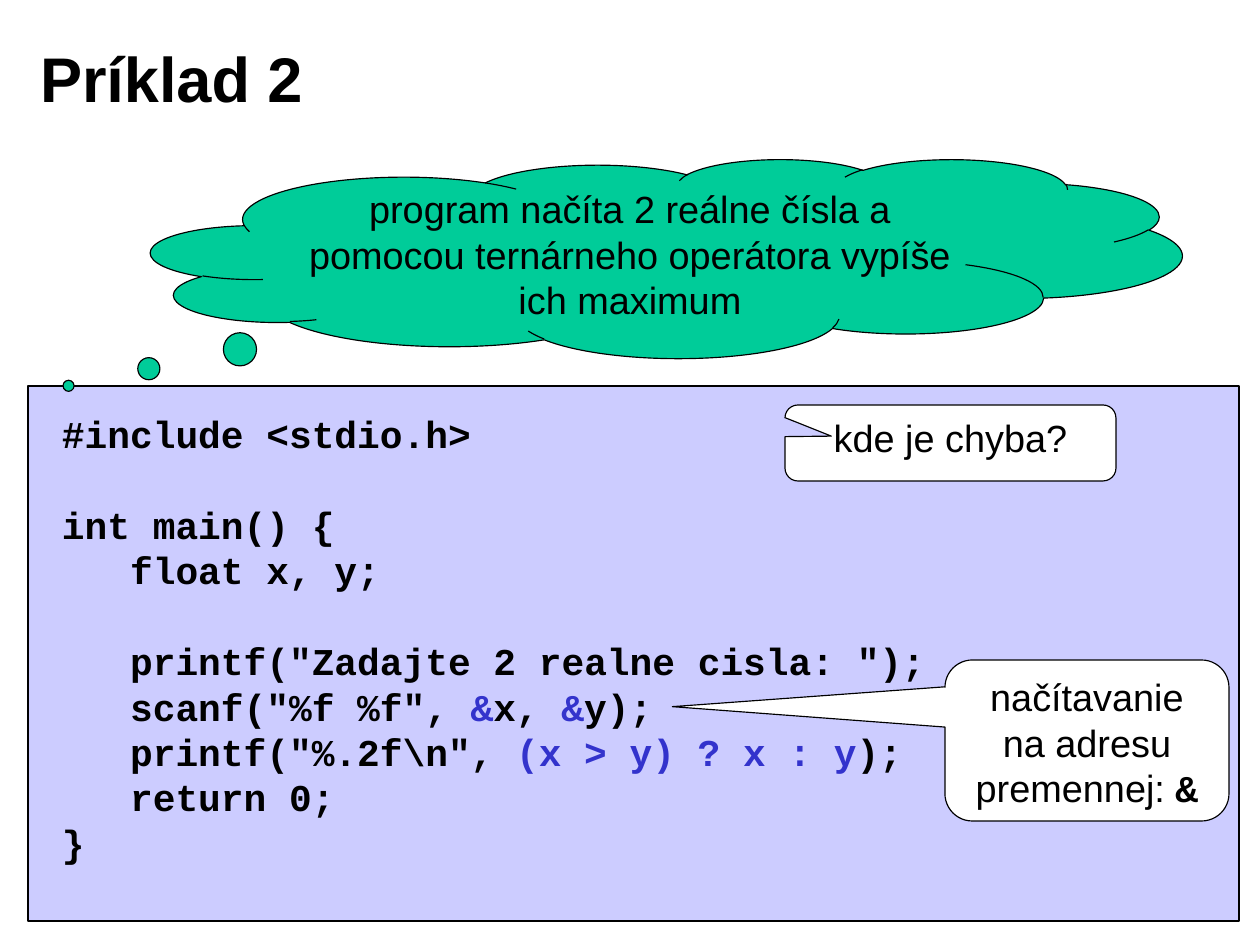
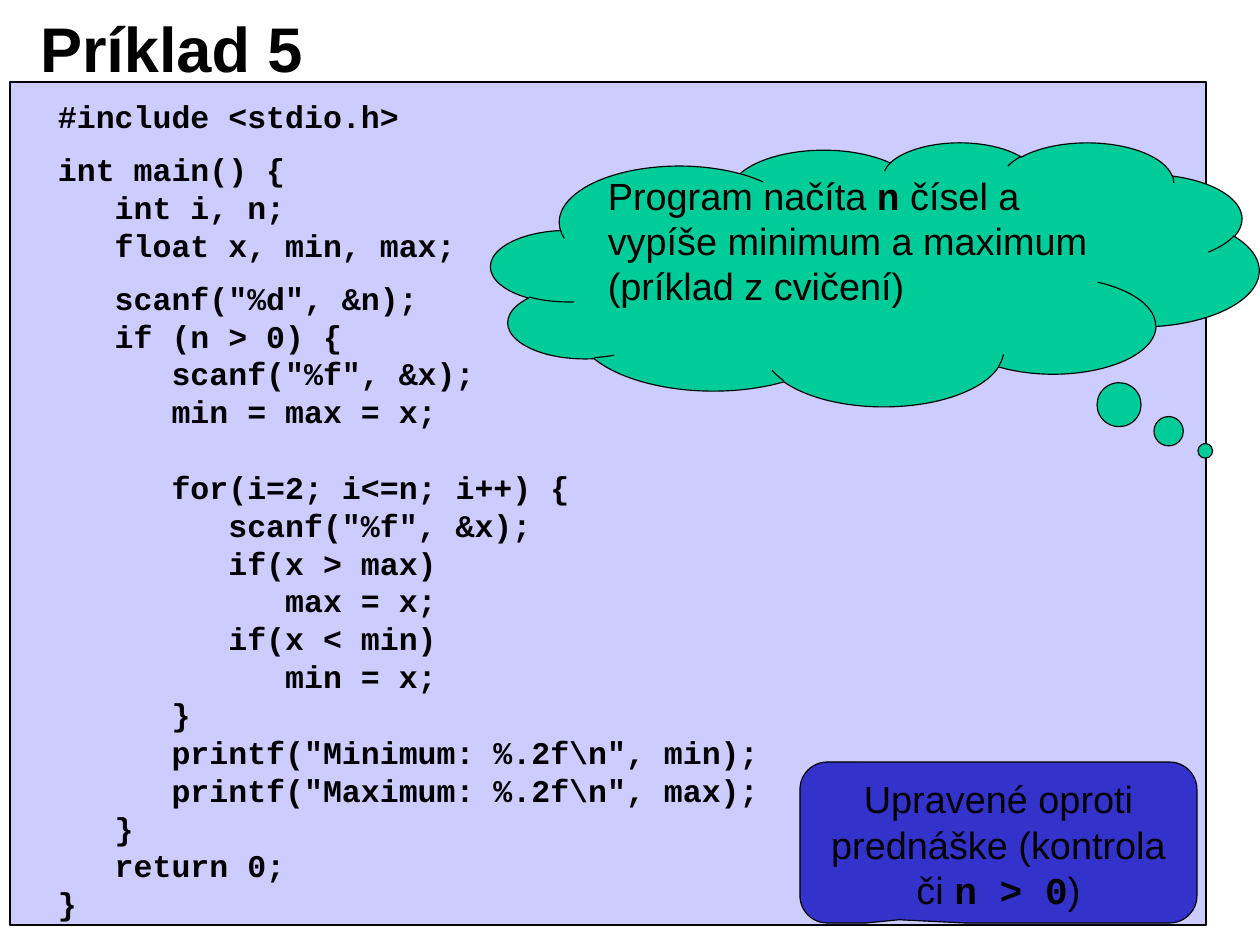
from pptx import Presentation
from pptx.dml.color import RGBColor
from pptx.enum.shapes import MSO_SHAPE
from pptx.enum.text import MSO_ANCHOR, PP_ALIGN
from pptx.util import Emu, Pt

RECT = MSO_SHAPE.RECTANGLE
CLOUD = MSO_SHAPE.CLOUD_CALLOUT
BUBBLE = MSO_SHAPE.ROUNDED_RECTANGULAR_CALLOUT
LEFT, CENTER = PP_ALIGN.LEFT, PP_ALIGN.CENTER
TOP, MIDDLE = MSO_ANCHOR.TOP, MSO_ANCHOR.MIDDLE

SCALE = 914400 / 113.5
SANS, MONO = "Arial", "Courier New"
BLACK, WHITE = "000000", "FFFFFF"
LILAC, GREEN, BLUE = "CCCCFF", "00CC99", "3333CC"
LEADING = 1.2


def px(n):
    return Emu(round(n * SCALE))


def color(code):
    return RGBColor.from_string(code)


def write(frame, blocks, size=24, font=SANS, bold=False, align=LEFT,
          anchor=TOP, pad=(11, 6, 11, 6), mark_font=MONO, mark_ink=BLACK):
    """Fill a frame with (gap, lines) blocks; text between bars is marked."""
    frame.word_wrap = True
    frame.vertical_anchor = anchor
    (frame.margin_left, frame.margin_top,
     frame.margin_right, frame.margin_bottom) = map(px, pad)
    lines = [(0 if i else gap, line) for gap, block in blocks
             for i, line in enumerate(block.split("\n"))]
    for i, (gap, line) in enumerate(lines):
        para = frame.add_paragraph() if i else frame.paragraphs[0]
        para.alignment = align
        para.line_spacing = Pt(size * LEADING)
        para.space_before = Pt(gap)
        for j, part in enumerate(line.split("|")):
            if not part:
                continue
            marked = j % 2 == 1
            run = para.add_run()
            run.text = part
            run.font.size = Pt(size)
            run.font.name = mark_font if marked else font
            run.font.bold = bold or marked
            run.font.color.rgb = color(mark_ink if marked else BLACK)


class Deck:
    """Holds the shared style and the current slide."""

    def __init__(self):
        self.file = Presentation()
        self.file.slide_width, self.file.slide_height = px(1260), px(942)
        self.slide = None

    def page(self, title, top):
        self.slide = self.file.slides.add_slide(self.file.slide_layouts[6])
        self.slide.background.fill.solid()
        self.slide.background.fill.fore_color.rgb = color(WHITE)
        write(self.box(28, top, 1012, 116), [(0, title)], size=40, bold=True,
              anchor=MIDDLE, pad=(12, 7, 12, 7))

    def box(self, *at):
        return self.slide.shapes.add_textbox(*map(px, at)).text_frame

    def shape(self, kind, at, fill, tip=()):
        item = self.slide.shapes.add_shape(kind, *map(px, at))
        item.shadow.inherit = False
        item.fill.solid()
        item.fill.fore_color.rgb = color(fill)
        item.line.color.rgb = color(BLACK)
        item.line.width = Pt(0.75)
        for i, value in enumerate(tip):
            item.adjustments[i] = value
        return item.text_frame

    def panel(self, *at):
        self.shape(RECT, at, LILAC)

    def code(self, at, blocks, size):
        write(self.box(*at), blocks, size=size, font=MONO, bold=True,
              mark_ink=BLUE)

    def cloud(self, at, tip, words, align=CENTER, foot=6):
        write(self.shape(CLOUD, at, GREEN, tip), [(0, words)], align=align,
              anchor=MIDDLE, pad=(11, 6, 11, foot))

    def bubble(self, at, tip, words, fill=WHITE):
        write(self.shape(BUBBLE, at, fill, (*tip, 0.17)), [(0, words)],
              align=CENTER)


MAX_CODE = [
    (0, "#include <stdio.h>"),
    (28.8, "int main() {\n   float x, y;"),
    (28.8, r'''   printf("Zadajte 2 realne cisla: ");
   scanf("%f %f", |&|x, |&|y);
   printf("%.2f\n", |(x > y) ? x : y|);
   return 0;
}'''),
]

RANGE_CODE = [
    (0, "#include <stdio.h>"),
    (9.6, "int main() {\n   int i, n;\n   float x, min, max;"),
    (9.6, '''   scanf("%d", &n);
   if (n > 0) {
      scanf("%f", &x);
      min = max = x;'''),
    (24, r'''      for(i=2; i<=n; i++) {
         scanf("%f", &x);
         if(x > max)
            max = x;
         if(x < min)
            min = x;
      }
      printf("Minimum: %.2f\n", min);
      printf("Maximum: %.2f\n", max);
   }
   return 0;
}'''),
]


def main():
    deck = Deck()

    deck.page("Príklad 2", 19)
    deck.panel(28, 386, 1211, 535)
    deck.bubble((945, 660, 284, 161), (-1.46, -0.21),
                "načítavanie na adresu premennej: |&|")
    deck.code((51, 405, 900, 465), MAX_CODE, 24)
    deck.cloud((151, 159, 1031, 199), (-0.58, 0.64),
               "program načíta 2 reálne čísla a pomocou ternárneho "
               "operátora vypíše ich maximum")
    deck.bubble((785, 405, 331, 76), (-0.36, -0.09), "kde je chyba?")

    deck.page("Príklad 5", -11)
    deck.panel(10, 82, 1196, 843)
    deck.code((47, 91, 740, 836), RANGE_CODE, 20)
    deck.cloud((491, 142, 768, 264), (0.43, 0.67),
               "Program načíta |n| čísel a vypíše minimum a maximum "
               "(príklad z cvičení)", align=LEFT, foot=61)
    deck.bubble((800, 762, 397, 161), (-0.25, 0.48),
                "Upravené oproti prednáške (kontrola či |n > 0|)", BLUE)

    deck.file.save("out.pptx")


if __name__ == "__main__":
    main()
